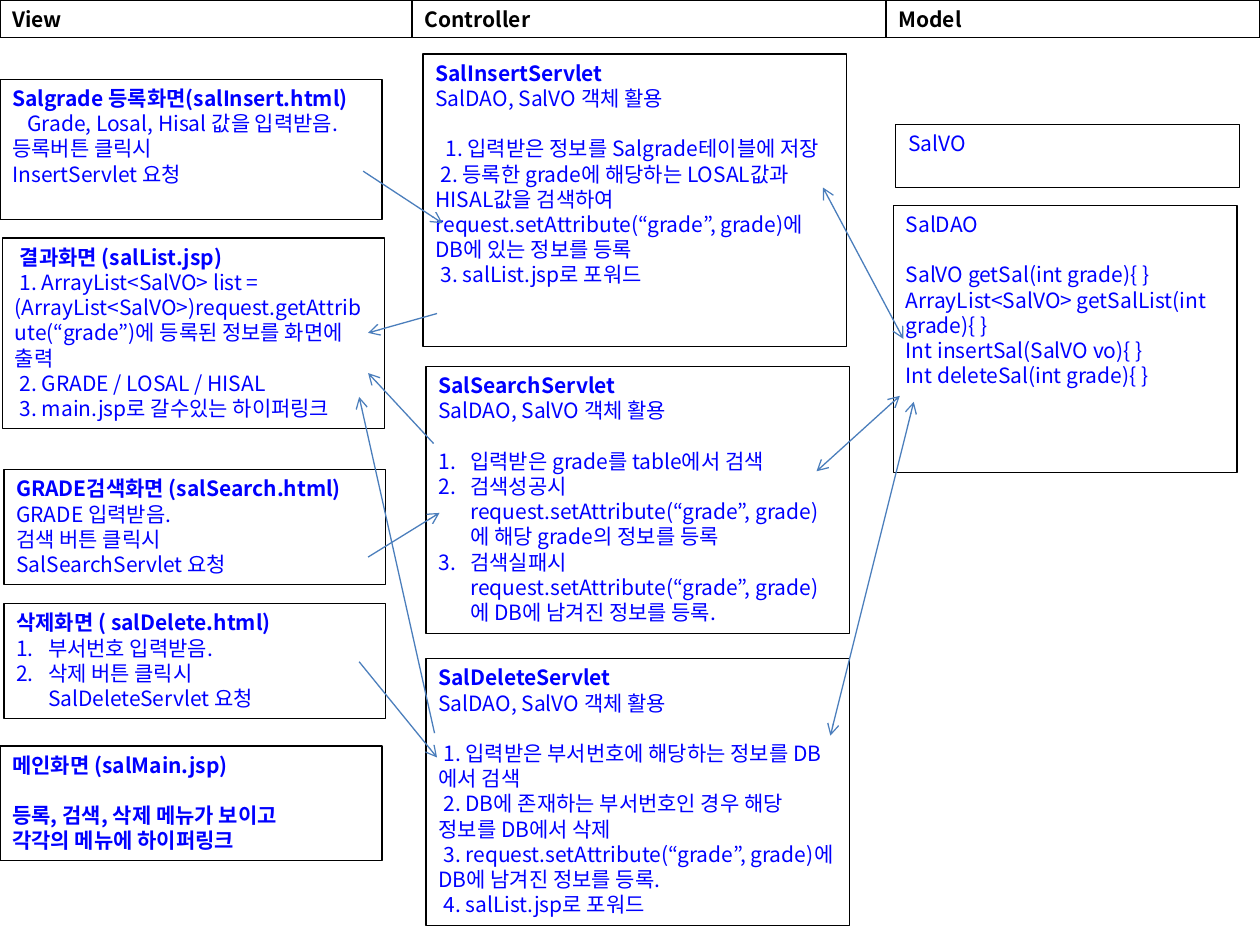
from lxml import etree
from pptx import Presentation
from pptx.dml.color import RGBColor
from pptx.enum.shapes import MSO_CONNECTOR
from pptx.oxml.ns import qn
from pptx.util import Cm, Pt

STRAIGHT = MSO_CONNECTOR.STRAIGHT
BLACK = RGBColor(0x00, 0x00, 0x00)
BLUE = RGBColor(0x00, 0x00, 0xFF)
ARROW_BLUE = RGBColor(0x4B, 0x7E, 0xBC)
FONT = "Noto Sans CJK KR"
LINE_PITCH = Pt(14.4)
SPACE = 0.1
LIST_INDENT = 0.64
VIEW_WIDTH, CONTROLLER_WIDTH, MODEL_WIDTH = 7.7, 8.53, 6.93


def add_paragraph(paragraph, text, color=BLUE, bold=False, indent=0, numbered=False, gap=False):
    paragraph.text = text
    paragraph.line_spacing = LINE_PITCH
    if gap:
        paragraph.space_before = LINE_PITCH
    properties = paragraph._p.get_or_add_pPr()
    if numbered:
        properties.set("marL", str(Cm(LIST_INDENT)))
        properties.set("indent", str(-Cm(LIST_INDENT)))
        etree.SubElement(properties, qn("a:buAutoNum"), type="arabicPeriod")
    elif indent:
        properties.set("indent", str(Cm(indent)))
    for run in paragraph.runs:
        run.font.size = Pt(12)
        run.font.name = FONT
        run.font.bold = bold
        run.font.color.rgb = color
        etree.SubElement(run.font._element, qn("a:ea"), typeface=FONT)


presentation = Presentation()
presentation.slide_width = Cm(25.4)
presentation.slide_height = Cm(19.05)
slide = presentation.slides.add_slide(presentation.slide_layouts[6])

bold = {"bold": True}
heading = {"bold": True, "color": BLACK}
step = {"indent": SPACE}
numbered = {"numbered": True}
gap = {"gap": True}

boxes = [
    (0, 0, 8.31, 0.76, [("View", heading)]),
    (8.31, 0, 9.55, 0.76, [("Controller", heading)]),
    (17.86, 0, 7.54, 0.76, [("Model", heading)]),
    (0, 1.6, VIEW_WIDTH, 2.82, [
        ("Salgrade 등록화면(salInsert.html)", bold),
        ("Grade, Losal, Hisal 값을 입력받음.", {"indent": 3 * SPACE}),
        ("등록버튼 클릭시", {}),
        ("InsertServlet 요청", {}),
    ]),
    (0.05, 4.8, VIEW_WIDTH, 3.84, [
        ("결과화면 (salList.jsp)", {**bold, **step}),
        ("1. ArrayList<SalVO> list = (ArrayList<SalVO>)request.getAttribute(“grade”)에 "
         "등록된 정보를 화면에 출력", step),
        ("2. GRADE / LOSAL / HISAL", step),
        ("3. main.jsp로 갈수있는 하이퍼링크", step),
    ]),
    (0.08, 9.47, VIEW_WIDTH, 2.31, [
        ("GRADE검색화면 (salSearch.html)", bold),
        ("GRADE 입력받음.", {}),
        ("검색 버튼 클릭시", {}),
        ("SalSearchServlet 요청", {}),
    ]),
    (0.08, 12.17, VIEW_WIDTH, 2.31, [
        ("삭제화면 ( salDelete.html)", bold),
        ("부서번호 입력받음.", numbered),
        ("삭제 버튼 클릭시\vSalDeleteServlet 요청", numbered),
    ]),
    (0, 15.04, VIEW_WIDTH, 2.31, [
        ("메인화면 (salMain.jsp)", bold),
        ("등록, 검색, 삭제 메뉴가 보이고", {**bold, **gap}),
        ("각각의 메뉴에 하이퍼링크", bold),
    ]),
    (8.53, 1.09, CONTROLLER_WIDTH, 5.89, [
        ("SalInsertServlet", bold),
        ("SalDAO, SalVO 객체 활용", {}),
        ("1. 입력받은 정보를 Salgrade테이블에 저장", {"indent": 2 * SPACE, **gap}),
        ("2. 등록한 grade에 해당하는 LOSAL값과 HISAL값을 검색하여 "
         "request.setAttribute(“grade”, grade)에 DB에 있는 정보를 등록", step),
        ("3. salList.jsp로 포워드", step),
    ]),
    (8.59, 7.39, CONTROLLER_WIDTH, 5.38, [
        ("SalSearchServlet", bold),
        ("SalDAO, SalVO 객체 활용", {}),
        ("입력받은 grade를 table에서 검색", {**numbered, **gap}),
        ("검색성공시 request.setAttribute(“grade”, grade)에 해당 grade의 정보를 등록", numbered),
        ("검색실패시 request.setAttribute(“grade”, grade)에 DB에 남겨진 정보를 등록.", numbered),
    ]),
    (8.59, 13.28, CONTROLLER_WIDTH, 5.38, [
        ("SalDeleteServlet", bold),
        ("SalDAO, SalVO 객체 활용", {}),
        ("1. 입력받은 부서번호에 해당하는 정보를 DB에서 검색", {**step, **gap}),
        ("2. DB에 존재하는 부서번호인 경우 해당 정보를 DB에서 삭제", step),
        ("3. request.setAttribute(“grade”, grade)에 DB에 남겨진 정보를 등록.", step),
        ("4. salList.jsp로 포워드", step),
    ]),
    (18.06, 2.51, MODEL_WIDTH, 1.27, [("SalVO", {})]),
    (18.01, 4.14, MODEL_WIDTH, 5.38, [
        ("SalDAO", {}),
        ("SalVO getSal(int grade){ }", gap),
        ("ArrayList<SalVO> getSalList(int grade){ }", {}),
        ("Int insertSal(SalVO vo){ }", {}),
        ("Int deleteSal(int grade){ }", {}),
    ]),
]
for left, top, width, height, lines in boxes:
    shape = slide.shapes.add_textbox(Cm(left), Cm(top), Cm(width), Cm(height))
    shape.line.color.rgb = BLACK
    shape.line.width = Pt(0.75)
    text_frame = shape.text_frame
    text_frame.word_wrap = True
    for index, (text, text_format) in enumerate(lines):
        paragraph = text_frame.add_paragraph() if index else text_frame.paragraphs[0]
        add_paragraph(paragraph, text, **text_format)

one_way = ["tailEnd"]
two_way = ["headEnd", "tailEnd"]
arrows = [
    (7.32, 3.45, 8.92, 4.5, one_way),
    (8.81, 6.32, 7.42, 6.71, one_way),
    (7.42, 11.23, 8.86, 10.34, one_way),
    (8.74, 8.94, 7.42, 7.52, one_way),
    (8.76, 14.78, 7.24, 8, one_way),
    (7.24, 13.34, 8.81, 15.27, one_way),
    (16.59, 3.78, 18.21, 6.83, two_way),
    (16.46, 9.5, 18.14, 7.98, two_way),
    (16.74, 14.83, 18.42, 8.1, two_way),
]
for start_x, start_y, end_x, end_y, arrowheads in arrows:
    connector = slide.shapes.add_connector(
        STRAIGHT, Cm(start_x), Cm(start_y), Cm(end_x), Cm(end_y))
    connector.line.color.rgb = ARROW_BLUE
    connector.line.width = Pt(0.75)
    for arrowhead in arrowheads:
        etree.SubElement(connector.line._get_or_add_ln(), qn(f"a:{arrowhead}"), type="arrow")
    etree.SubElement(connector._element.spPr, qn("a:effectLst"))

presentation.save("out.pptx")
